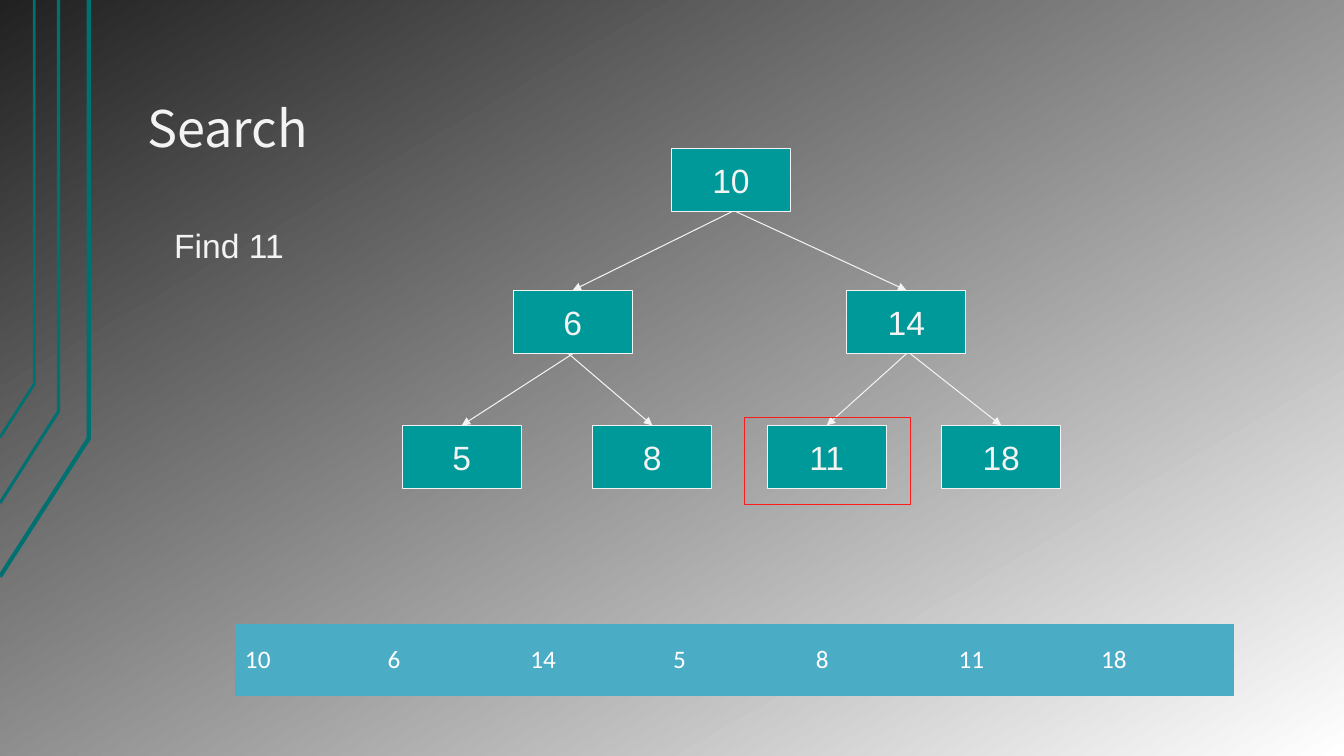
from dataclasses import dataclass

from pptx import Presentation
from pptx.dml.color import RGBColor
from pptx.enum.shapes import MSO_CONNECTOR, MSO_SHAPE
from pptx.enum.text import MSO_ANCHOR, MSO_AUTO_SIZE, PP_ALIGN
from pptx.oxml.ns import qn
from pptx.util import Inches, Pt
from lxml.etree import SubElement


@dataclass(frozen=True)
class Theme:
    dark: RGBColor = RGBColor.from_string("212121")
    white: RGBColor = RGBColor.from_string("FFFFFF")
    light: RGBColor = RGBColor.from_string("F3F3F3")
    node: RGBColor = RGBColor.from_string("009999")
    stripe: RGBColor = RGBColor.from_string("007070")
    array: RGBColor = RGBColor.from_string("4BACC6")
    found: RGBColor = RGBColor.from_string("FF1B1B")
    title_size: int = 36
    node_size: int = 24
    array_size: int = 18
    title_font: str = "Noto Sans CJK SC"
    node_font: str = "Arial"
    array_font: str = "Calibri"


theme = Theme()


def write_text(frame, text, *, size, font, color, align=PP_ALIGN.LEFT, spacing=None):
    paragraph = frame.paragraphs[0]
    paragraph.alignment = align
    paragraph.line_spacing = spacing
    run = paragraph.add_run()
    run.text = text
    run.font.size = Pt(size)
    run.font.name = font
    run.font.color.rgb = color


def set_line(shape, color, width):
    shape.line.color.rgb = color
    shape.line.width = Pt(width)


presentation = Presentation()
presentation.slide_width = Inches(13.33)
presentation.slide_height = Inches(7.5)
slide = presentation.slides.add_slide(presentation.slide_layouts.get_by_name("Title Only"))
shapes = slide.shapes

# Background gradient
background = slide.background.fill
background.gradient()
background.gradient_angle = 300
for stop, color in zip(background.gradient_stops, (theme.dark, theme.white)):
    stop.color.rgb = color

# Bent stripes at the left edge: x, bend height, end height, width
for x, bend, end, width in ((0.88, 4.35, 5.72, 3), (0.58, 4.08, 4.99, 2.25), (0.34, 3.81, 4.34, 2)):
    builder = shapes.build_freeform(Inches(0), Inches(end))
    builder.add_line_segments([(Inches(x), Inches(bend)), (Inches(x), Inches(0))], close=False)
    stripe = builder.convert_to_shape()
    stripe.shadow.inherit = False
    stripe.fill.background()
    set_line(stripe, theme.stripe, width)

# Title
title = shapes.title
title.left, title.top, title.width, title.height = map(Inches, (1.33, 0.3, 11.33, 1.34))
title_frame = title.text_frame
title_frame.auto_size = MSO_AUTO_SIZE.NONE
title_frame.vertical_anchor = MSO_ANCHOR.BOTTOM
title_frame.margin_left = title_frame.margin_right = Inches(0.13)
title_frame.margin_top = title_frame.margin_bottom = Inches(0.07)
write_text(title_frame, "Search", size=theme.title_size, font=theme.title_font,
           color=theme.light, spacing=0.9)

# Tree in level order: the children of node i are 2i + 1 and 2i + 2
values = [10, 6, 14, 5, 8, 11, 18]
node_lefts = [6.66, 5.09, 8.4, 3.99, 5.88, 7.61, 9.34]
level_tops = [1.47, 2.88, 4.22]
node_width, node_height = 1.18, 0.63
node_tops = [level_tops[(index + 1).bit_length() - 1] for index in range(len(values))]

for value, left, top in zip(values, node_lefts, node_tops):
    node = shapes.add_shape(MSO_SHAPE.RECTANGLE, Inches(left), Inches(top),
                            Inches(node_width), Inches(node_height))
    node.shadow.inherit = False
    node.fill.solid()
    node.fill.fore_color.rgb = theme.node
    set_line(node, theme.light, 0.75)
    node.text_frame.vertical_anchor = MSO_ANCHOR.MIDDLE
    write_text(node.text_frame, str(value), size=theme.node_size, font=theme.node_font,
               color=theme.light, align=PP_ALIGN.CENTER)

# Arrows start slightly beside the middle of the parent
start_offsets = [0.01, 0.05, 0, -0.04, 0, 0.04]
for child, offset in enumerate(start_offsets, start=1):
    parent = (child - 1) // 2
    arrow = shapes.add_connector(
        MSO_CONNECTOR.STRAIGHT,
        Inches(node_lefts[parent] + node_width / 2 + offset),
        Inches(node_tops[parent] + node_height),
        Inches(node_lefts[child] + node_width / 2),
        Inches(node_tops[child]))
    set_line(arrow, theme.light, 0.75)
    SubElement(arrow.line._get_or_add_ln(), qn("a:tailEnd"), type="triangle")
    SubElement(arrow._element.spPr, qn("a:effectLst"))

found_frame = shapes.add_shape(MSO_SHAPE.RECTANGLE, Inches(7.38), Inches(4.14),
                               Inches(1.65), Inches(0.87))
found_frame.shadow.inherit = False
found_frame.fill.background()
set_line(found_frame, theme.found, 0.75)

task = shapes.add_textbox(Inches(1.63), Inches(2.18), Inches(3.23), Inches(0.5))
task.text_frame.word_wrap = True
write_text(task.text_frame, "Find 11", size=theme.node_size, font=theme.node_font,
           color=theme.light)

# The same values as an array
table_shape = shapes.add_table(1, len(values), Inches(2.33), Inches(6.19),
                               Inches(9.91), Inches(0.71))
table = table_shape.table
table.first_row = table.horz_banding = False
no_grid_style = "{2D5ABB26-0587-4C30-8999-92F81FD0307C}"
table_shape._element.find(".//" + qn("a:tableStyleId")).text = no_grid_style
for cell, value in zip(table.iter_cells(), values):
    cell.fill.solid()
    cell.fill.fore_color.rgb = theme.array
    cell.vertical_anchor = MSO_ANCHOR.MIDDLE
    write_text(cell.text_frame, str(value), size=theme.array_size, font=theme.array_font,
               color=theme.white, spacing=0.9)

presentation.save("out.pptx")
